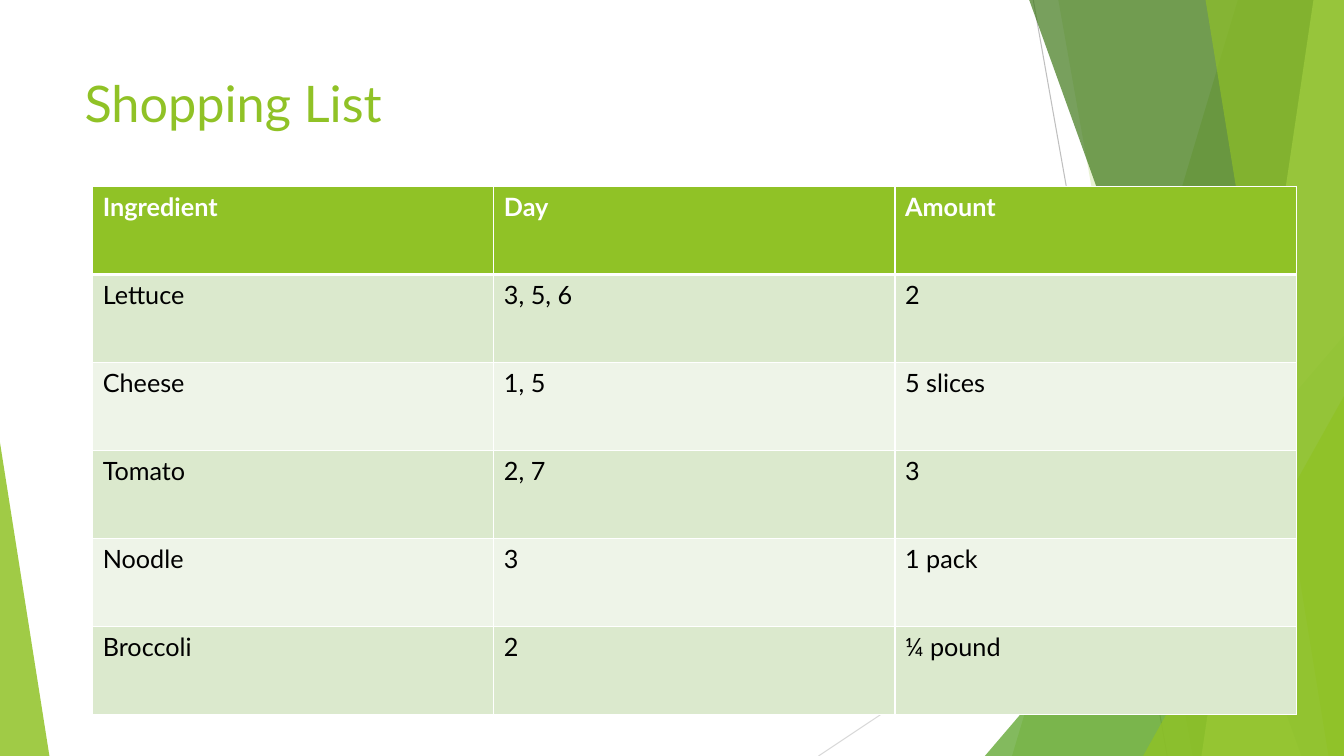
from lxml import etree
from pptx import Presentation
from pptx.dml.color import RGBColor
from pptx.enum.shapes import MSO_CONNECTOR, MSO_SHAPE
from pptx.enum.text import MSO_ANCHOR
from pptx.oxml.ns import qn
from pptx.util import Inches, Pt

LINE = MSO_CONNECTOR.STRAIGHT
TRIANGLE = MSO_SHAPE.ISOSCELES_TRIANGLE
TOP = MSO_ANCHOR.TOP

WIDTH, HEIGHT = Inches(13.333), Inches(7.5)
FONT = "Lato"
GREEN, WHITE, BLACK = "90C226", "FFFFFF", "000000"
BANDS = ("DBE9CD", "EEF4E8")

# All lengths are percentages of the slide's width or height.
# Thin lines: start x, start y, end x, end y, colour
RAYS = [
    (76.88, 0, 86.85, 100, "BFBFBF"),
    (100, 53.73, 60.9, 100, "D9D9D9"),
]
# Facets reach the right edge: top x, foot x, colour, opacity
BACK = [(92.1, 75.3, GREEN, 30), (78.75, 88.73, GREEN, 20)]
FRONT = [
    (76.58, 96.83, "3F7819", 70),
    (97.73, 89.4, "C0E474", 70),
    (89.7, 98.85, GREEN, 65),
]
ROWS = [
    ("Ingredient", "Day", "Amount"),
    ("Lettuce", "3, 5, 6", "2"),
    ("Cheese", "1, 5", "5 slices"),
    ("Tomato", "2, 7", "3"),
    ("Noodle", "3", "1 pack"),
    ("Broccoli", "2", "¼ pound"),
]


def across(share):
    return round(WIDTH * share / 100)


def down(share):
    return round(HEIGHT * share / 100)


def box(left, top, width, height):
    return across(left), down(top), across(width), down(height)


def color(code):
    return RGBColor.from_string(code)


def add_ray(slide, x1, y1, x2, y2, code):
    ray = slide.shapes.add_connector(
        LINE, across(x1), down(y1), across(x2), down(y2))
    ray.line.color.rgb = color(code)
    ray.line.width = Pt(0.75)
    etree.SubElement(ray._element.spPr, qn("a:effectLst"))


def paint(shape, code, alpha):
    shape.shadow.inherit = False
    shape.line.fill.background()
    shape.fill.solid()
    shape.fill.fore_color.rgb = color(code)
    tint = shape._element.spPr.find(f"{qn('a:solidFill')}/{qn('a:srgbClr')}")
    etree.SubElement(tint, qn("a:alpha"), val=str(alpha * 1000))


def add_facet(slide, top, foot, code, alpha):
    pen = slide.shapes.build_freeform(across(top), 0)
    pen.add_line_segments(
        [(WIDTH, 0), (WIDTH, HEIGHT), (across(foot), HEIGHT)])
    paint(pen.convert_to_shape(), code, alpha)


def add_wedge(slide, left, top, width, apex, code, alpha):
    wedge = slide.shapes.add_shape(
        TRIANGLE, *box(left, top, width, 100 - top))
    wedge.adjustments[0] = apex
    paint(wedge, code, alpha)


def set_font(par, size, code, bold=False):
    par.font.name = FONT
    par.font.size = Pt(size)
    par.font.bold = bold
    par.font.color.rgb = color(code)


def add_title(slide, text):
    frame = slide.shapes.add_textbox(*box(5.55, 8.93, 70.5, 19.2)).text_frame
    frame.word_wrap = True
    frame.vertical_anchor = TOP
    frame.text = text
    set_font(frame.paragraphs[0], 36, GREEN)


def add_edge(cell, side, width):
    edge = etree.SubElement(
        cell._tc.get_or_add_tcPr(), qn(f"a:ln{side}"), w=str(Pt(width)))
    fill = etree.SubElement(edge, qn("a:solidFill"))
    etree.SubElement(fill, qn("a:srgbClr"), val=WHITE)


def add_list(slide, rows):
    table = slide.shapes.add_table(
        len(rows), len(rows[0]), *box(6.9, 24.67, 89.55, 69.87)).table
    for r, row in enumerate(rows):
        head = r == 0
        # A thick rule parts the header from the body
        edges = {"L": 1, "R": 1, "T": 3 if r == 1 else 1, "B": 3 if head else 1}
        for c, text in enumerate(row):
            cell = table.cell(r, c)
            cell.text = text
            set_font(cell.text_frame.paragraphs[0], 18,
                     WHITE if head else BLACK, head)
            for side, width in edges.items():
                add_edge(cell, side, width)
            cell.fill.solid()
            cell.fill.fore_color.rgb = color(
                GREEN if head else BANDS[(r - 1) % 2])


def main():
    deck = Presentation()
    deck.slide_width, deck.slide_height = WIDTH, HEIGHT
    slide = deck.slides.add_slide(deck.slide_layouts[6])

    # Backdrop, from back to front
    for ray in RAYS:
        add_ray(slide, *ray)
    for facet in BACK:
        add_facet(slide, *facet)
    add_wedge(slide, 73.28, 44.4, 26.72, 1, "54A021", 72)
    for facet in FRONT:
        add_facet(slide, *facet)
    add_wedge(slide, 85.05, 52.4, 14.95, 1, GREEN, 80)
    add_wedge(slide, 0, 58.53, 3.68, 0, GREEN, 85)

    # Content
    add_title(slide, "Shopping List")
    add_list(slide, ROWS)
    deck.save("out.pptx")


if __name__ == "__main__":
    main()
